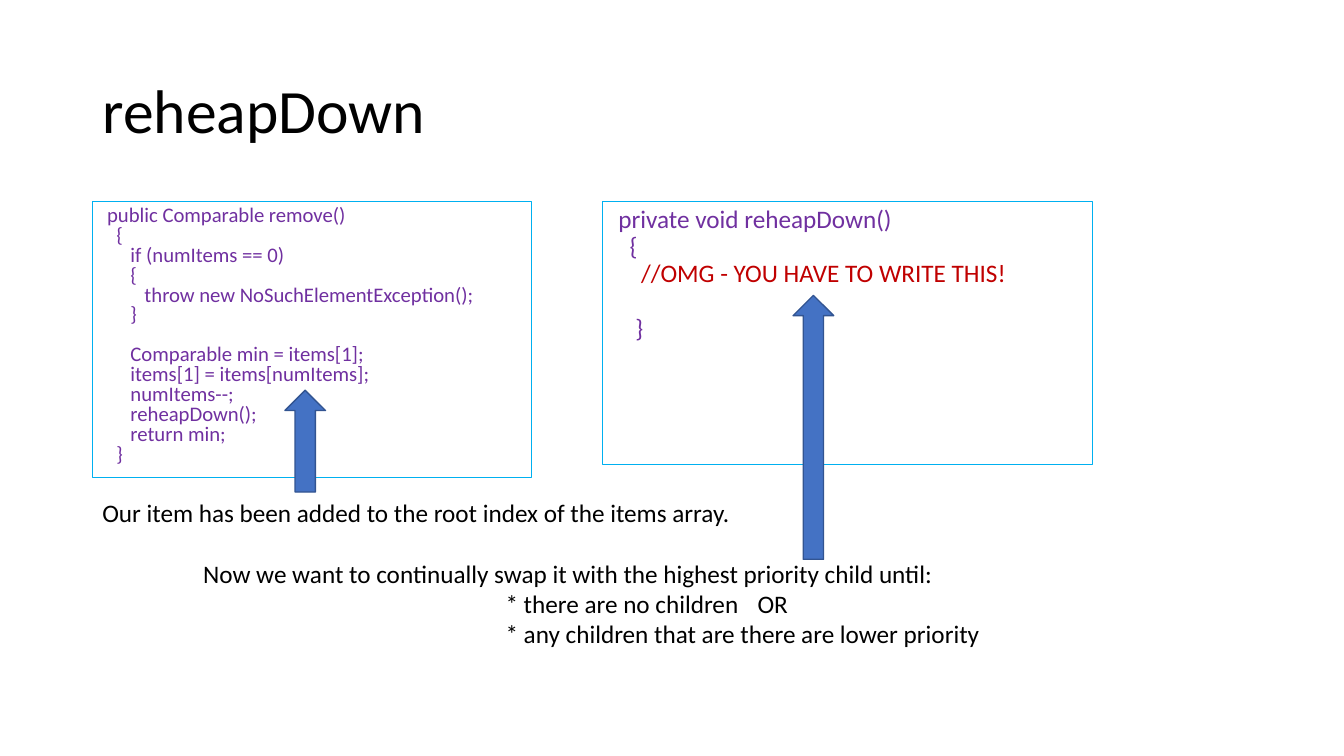
from copy import deepcopy
from dataclasses import dataclass

from lxml import etree
from pptx import Presentation
from pptx.dml.color import RGBColor
from pptx.enum.shapes import MSO_SHAPE
from pptx.enum.text import MSO_ANCHOR, MSO_AUTO_SIZE, PP_ALIGN
from pptx.oxml.ns import qn
from pptx.util import Pt

RECTANGLE = MSO_SHAPE.RECTANGLE
UP_ARROW = MSO_SHAPE.UP_ARROW
TOP, MIDDLE = MSO_ANCHOR.TOP, MSO_ANCHOR.MIDDLE
LEFT = PP_ALIGN.LEFT
NO_AUTOFIT = MSO_AUTO_SIZE.NONE


@dataclass(frozen=True)
class Theme:
    font: str = "Calibri"
    text: str = "000000"
    code: str = "7030A0"
    comment: str = "C00000"
    frame: str = "00B0F0"
    arrow: str = "4472C4"
    arrow_line: str = "325491"
    title_size: float = 44
    small_code_size: float = 14.8
    body_size: float = 18


THEME = Theme()

REMOVE_CODE = """ public Comparable remove()
   {
      if (numItems == 0)
      {
         throw new NoSuchElementException();
      }
   
      Comparable min = items[1];
      items[1] = items[numItems];
      numItems--;
      reheapDown();
      return min;
   }"""

REHEAP_CODE = [
    (" private void reheapDown()\n   {\n     ", THEME.code),
    ("//OMG - YOU HAVE TO WRITE THIS!\n\n", THEME.comment),
    ("    }", THEME.code),
]

EXPLANATION = [
    ("Our item has been added to the root index of the items array.", 0, 0),
    ("Now we want to continually swap it with the highest priority child until:", 72, 22),
    ("* there are no children\tOR", 288, 0),
    ("* any children that are there are lower priority", 288, 0),
]


def write(paragraph, text, *, size, color=THEME.text, font=THEME.font):
    run = None
    for index, line in enumerate(text.split("\n")):
        if index:
            paragraph.add_line_break()
            line_break = paragraph._p.findall(qn("a:br"))[-1]
            line_break.append(deepcopy(run.font._element))
        if line:
            run = paragraph.add_run()
            run.text = line
            run.font.name = font
            run.font.size = Pt(size)
            run.font.color.rgb = RGBColor.from_string(color)


class SlideBuilder:
    def __init__(self, slide, theme):
        self.slide = slide
        self.theme = theme

    def place(self, shape, left, top, width, height):
        shape.left, shape.top = Pt(left), Pt(top)
        shape.width, shape.height = Pt(width), Pt(height)

    def outline(self, shape, color, width):
        shape.line.color.rgb = RGBColor.from_string(color)
        shape.line.width = Pt(width)

    def prepare(self, shape, anchor=TOP):
        frame = shape.text_frame
        frame.word_wrap = True
        frame.auto_size = NO_AUTOFIT
        frame.vertical_anchor = anchor
        return frame

    def format(self, paragraph, spacing=1.0, indent=0, before=0):
        properties = paragraph._p.get_or_add_pPr()
        properties.set("marL", str(Pt(indent)))
        properties.set("indent", "0")
        etree.SubElement(properties, qn("a:buNone"))
        paragraph.alignment = LEFT
        paragraph.line_spacing = spacing
        paragraph.space_before = Pt(before)

    def title(self, text, *bounds):
        shape = self.slide.shapes.title
        self.place(shape, *bounds)
        paragraph = self.prepare(shape, MIDDLE).paragraphs[0]
        self.format(paragraph, 0.9)
        write(paragraph, text, size=self.theme.title_size)

    def code(self, shape, pieces, size, spacing):
        self.outline(shape, self.theme.frame, 0.75)
        paragraph = self.prepare(shape).paragraphs[0]
        self.format(paragraph, spacing)
        for text, color in pieces:
            write(paragraph, text, size=size, color=color)

    def body_code(self, pieces, size, spacing, *bounds):
        shape = self.slide.placeholders[1]
        self.place(shape, *bounds)
        self.code(shape, pieces, size, spacing)

    def boxed_code(self, pieces, size, spacing, *bounds):
        shape = self.slide.shapes.add_shape(RECTANGLE, *map(Pt, bounds))
        shape.shadow.inherit = False
        shape.fill.background()
        self.code(shape, pieces, size, spacing)

    def explanation(self, lines, *bounds):
        frame = self.prepare(self.slide.shapes.add_textbox(*map(Pt, bounds)))
        for index, (text, indent, before) in enumerate(lines):
            paragraph = frame.add_paragraph() if index else frame.paragraphs[0]
            self.format(paragraph, indent=indent, before=before)
            write(paragraph, text, size=self.theme.body_size)

    def arrow(self, *bounds):
        shape = self.slide.shapes.add_shape(UP_ARROW, *map(Pt, bounds))
        shape.shadow.inherit = False
        shape.fill.solid()
        shape.fill.fore_color.rgb = RGBColor.from_string(self.theme.arrow)
        self.outline(shape, self.theme.arrow_line, 1)


def main():
    presentation = Presentation()
    presentation.slide_width, presentation.slide_height = Pt(960), Pt(540)
    slide = presentation.slides.add_slide(presentation.slide_layouts[1])
    builder = SlideBuilder(slide, THEME)

    builder.title("reheapDown", 66, 28.75, 828, 104.4)
    builder.body_code([(REMOVE_CODE, THEME.code)], THEME.small_code_size, 0.8,
                      66, 144, 314, 197)
    builder.boxed_code(REHEAP_CODE, THEME.body_size, 0.9, 430.5, 144, 350, 188)
    builder.explanation(EXPLANATION, 66, 351.5, 785, 138)
    builder.arrow(203.5, 278.75, 29, 72.75)
    builder.arrow(566.5, 211, 29, 188.5)

    presentation.save("out.pptx")


if __name__ == "__main__":
    main()
